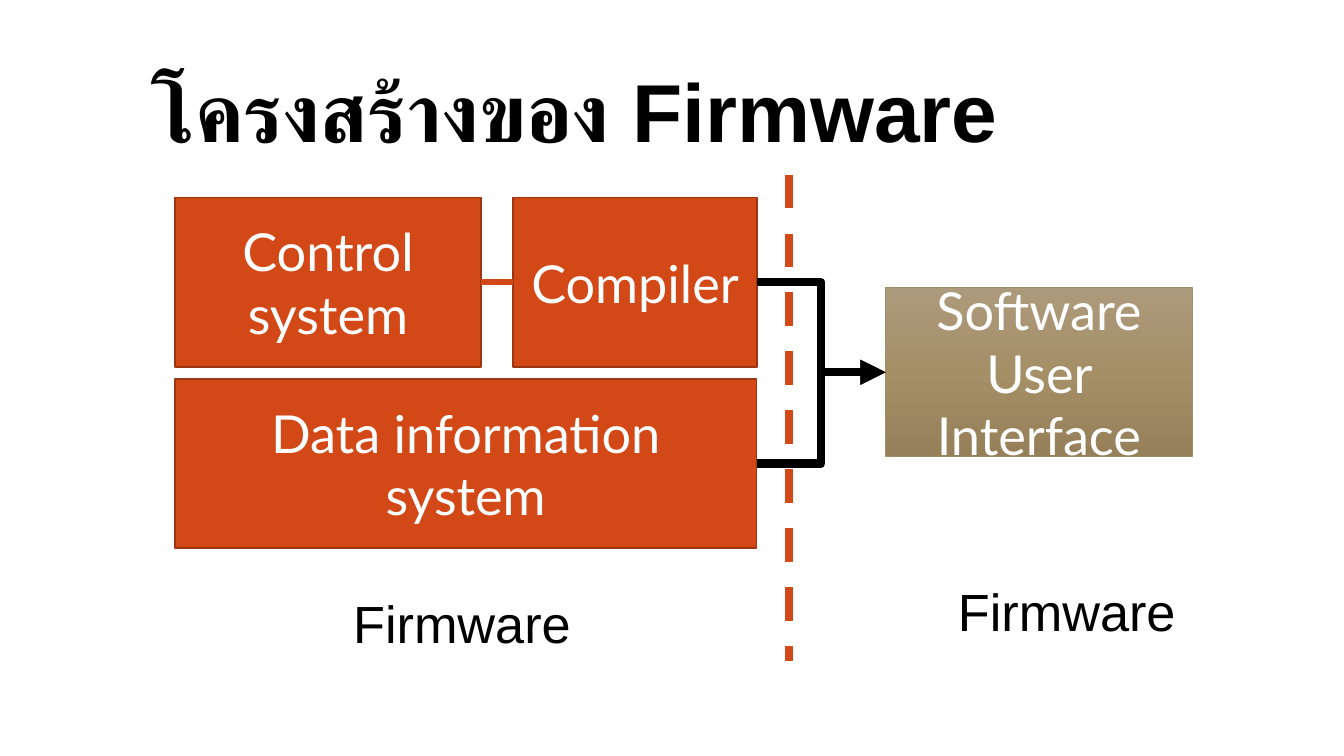
from copy import deepcopy
from dataclasses import dataclass

from lxml import etree
from pptx import Presentation
from pptx import util as u
from pptx.dml.color import RGBColor
from pptx.enum import dml, shapes, text
from pptx.oxml.ns import qn


@dataclass(frozen=True)
class Theme:
    orange: str = "D34817"
    orange_edge: str = "9C3511"
    tan: tuple = ("AC9A7C", "A58F67", "968059")
    tan_edge: str = "A28E6A"
    ink: str = "000000"
    white: str = "FFFFFF"
    box_font: str = "Lato"
    label_font: str = "Arial"
    title_size: int = 44
    body_size: int = 28


@dataclass(frozen=True)
class Box:
    lines: tuple
    left: float
    top: float
    width: float
    height: float = 1.26
    gradient: bool = False


@dataclass(frozen=True)
class Label:
    words: str
    left: float
    top: float
    width: float
    height: float


THEME = Theme()
SLIDE_WIDTH = 10
RIGHT_SITE, LEFT_SITE = 3, 1

TITLE = Label("โครงสร้างของ Firmware", 1.03, 0.41, 7.69, 0.9)
CONTROL = Box(("Control system",), 1.3, 1.47, 2.28)
COMPILER = Box(("Compiler",), 3.82, 1.47, 1.81)
DATA = Box(("Data information system",), 1.3, 2.82, 4.33)
INTERFACE = Box(("Software", "User Interface"), 6.59, 2.14, 2.28, gradient=True)
CAPTIONS = (
    Label("Firmware", 2.53, 4.35, 1.84, 0.57),
    Label("Firmware", 7.03, 4.26, 1.84, 0.57),
)


def color(value: str) -> RGBColor:
    return RGBColor.from_string(value)


def add_run(paragraph, words: str, font: str, size: int, ink: str, bold: bool = False) -> None:
    run = paragraph.add_run()
    run.text = words
    run.font.name = font
    run.font.size = u.Pt(size)
    run.font.bold = bold
    run.font.color.rgb = color(ink)


def fill_gradient(shape, colors: tuple) -> None:
    """Top-to-bottom gradient with three evenly spaced stops."""
    shape.fill.gradient()
    shape.fill.gradient_angle = 270
    stop_list = shape._element.spPr.find(".//" + qn("a:gsLst"))
    stop_list.insert(1, deepcopy(stop_list[0]))
    for index, (stop, value) in enumerate(zip(shape.fill.gradient_stops, colors)):
        stop.color.rgb = color(value)
        stop.position = index / (len(colors) - 1)


def add_box(slide, box: Box):
    shape = slide.shapes.add_shape(
        shapes.MSO_SHAPE.RECTANGLE,
        u.Inches(box.left), u.Inches(box.top), u.Inches(box.width), u.Inches(box.height),
    )
    shape.shadow.inherit = False
    if box.gradient:
        fill_gradient(shape, THEME.tan)
    else:
        shape.fill.solid()
        shape.fill.fore_color.rgb = color(THEME.orange)
    shape.line.color.rgb = color(THEME.tan_edge if box.gradient else THEME.orange_edge)
    shape.line.width = u.Pt(0.5 if box.gradient else 1)

    frame = shape.text_frame
    frame.word_wrap = True
    frame.vertical_anchor = text.MSO_ANCHOR.MIDDLE
    for index, line in enumerate(box.lines):
        paragraph = frame.add_paragraph() if index else frame.paragraphs[0]
        paragraph.alignment = text.PP_ALIGN.CENTER
        add_run(paragraph, line, THEME.box_font, THEME.body_size, THEME.white)
    return shape


def add_label(slide, label: Label, size: int, title: bool = False) -> None:
    shape = slide.shapes.add_textbox(
        u.Inches(label.left), u.Inches(label.top), u.Inches(label.width), u.Inches(label.height)
    )
    frame = shape.text_frame
    frame.word_wrap = title
    paragraph = frame.paragraphs[0]
    if title:
        frame.vertical_anchor = text.MSO_ANCHOR.MIDDLE
        paragraph.line_spacing = 0.9
    else:
        frame.auto_size = text.MSO_AUTO_SIZE.SHAPE_TO_FIT_TEXT
    add_run(paragraph, label.words, THEME.label_font, size, THEME.ink, bold=title)


def add_line(slide, kind, start: tuple, end: tuple, ink: str, width: float):
    connector = slide.shapes.add_connector(kind, *(u.Inches(value) for value in start + end))
    connector.line.color.rgb = color(ink)
    connector.line.width = u.Pt(width)
    etree.SubElement(connector._element.spPr, qn("a:effectLst"))
    return connector


def join(slide, source, target, kind, ink: str, width: float):
    """Connect the right side of one box to the left side of another."""
    connector = add_line(slide, kind, (0, 0), (0, 0), ink, width)
    connector.begin_connect(source, RIGHT_SITE)
    connector.end_connect(target, LEFT_SITE)
    return connector


def main() -> None:
    # Widescreen slide, 16:9
    presentation = Presentation()
    presentation.slide_width = u.Inches(SLIDE_WIDTH)
    presentation.slide_height = u.Inches(SLIDE_WIDTH * 9 / 16)
    slide = presentation.slides.add_slide(presentation.slide_layouts[6])

    # Title
    add_label(slide, TITLE, THEME.title_size, title=True)

    # Firmware parts and user interface
    control, data, compiler, interface = (
        add_box(slide, box) for box in (CONTROL, DATA, COMPILER, INTERFACE)
    )

    # Divider between the two sides
    divider = add_line(
        slide, shapes.MSO_CONNECTOR.STRAIGHT, (5.87, 1.3), (5.87, 4.92), THEME.orange, 4.5
    )
    divider.line.dash_style = dml.MSO_LINE.DASH

    # Links between boxes
    join(slide, control, compiler, shapes.MSO_CONNECTOR.STRAIGHT, THEME.orange, 3)
    for source in (compiler, data):
        link = join(slide, source, interface, shapes.MSO_CONNECTOR.ELBOW, THEME.ink, 4.5)
        etree.SubElement(link.line._get_or_add_ln(), qn("a:tailEnd"), type="triangle")

    # Captions
    for caption in CAPTIONS:
        add_label(slide, caption, THEME.body_size)

    presentation.save("out.pptx")


if __name__ == "__main__":
    main()
